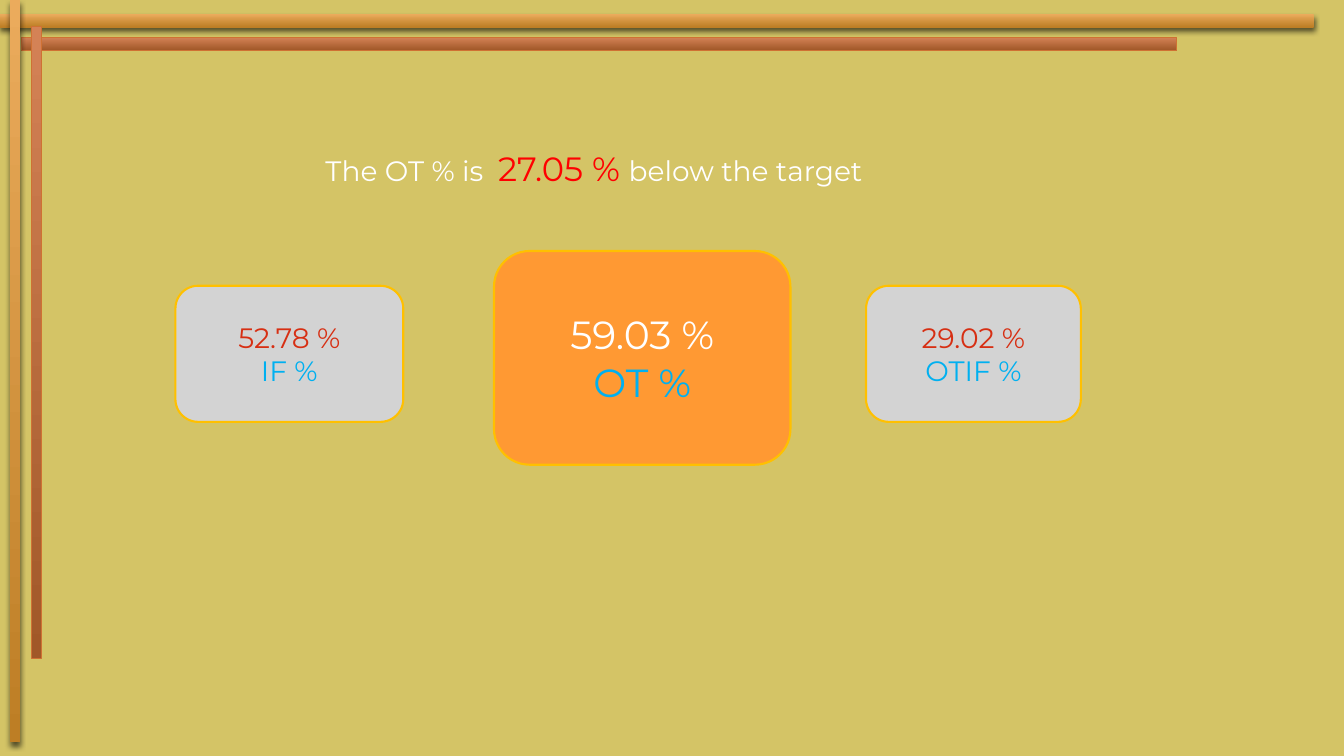
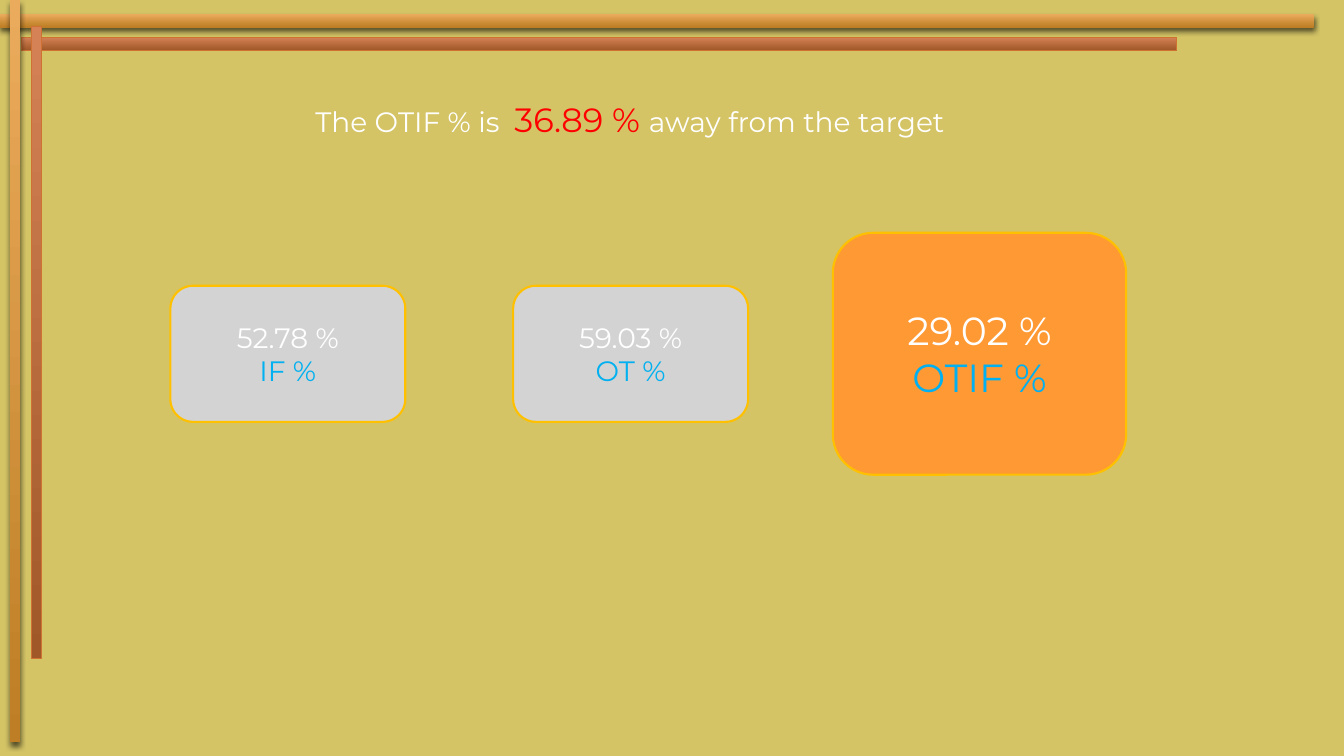
from lxml import etree
from pptx import Presentation
from pptx.dml.color import RGBColor
from pptx.enum.shapes import MSO_SHAPE
from pptx.enum.text import MSO_ANCHOR, MSO_AUTO_SIZE, PP_ALIGN
from pptx.oxml.ns import qn
from pptx.util import Inches, Pt

RECTANGLE = MSO_SHAPE.RECTANGLE
ROUNDED = MSO_SHAPE.ROUNDED_RECTANGLE
MIDDLE = MSO_ANCHOR.MIDDLE
CENTER = PP_ALIGN.CENTER
GROW = MSO_AUTO_SIZE.SHAPE_TO_FIT_TEXT

FONT = "Montserrat"
BACKGROUND = RGBColor(0xD4, 0xC4, 0x66)
GOLD = (RGBColor(0xEB, 0xAB, 0x5C), RGBColor(0xBD, 0x7E, 0x25))
COPPER = (RGBColor(0xD4, 0x82, 0x56), RGBColor(0xA1, 0x58, 0x28))
COPPER_EDGE = RGBColor(0xCF, 0x71, 0x33)
CARD_EDGE = RGBColor(0xFF, 0xC0, 0x00)
GREY = RGBColor(0xD3, 0xD3, 0xD3)
ORANGE = RGBColor(0xFF, 0x99, 0x33)
WHITE = RGBColor(0xFF, 0xFF, 0xFF)
BRICK = RGBColor(0xD7, 0x2F, 0x13)
RED = RGBColor(0xFF, 0x00, 0x00)
BLUE = RGBColor(0x00, 0xB0, 0xF0)

FRAME_BARS = [
    ((0, 0.14, 13.03, 0.13), GOLD, None),
    ((0.21, 0.37, 11.46, 0.13), COPPER, COPPER_EDGE),
    ((0.31, 0.26, 0.1, 6.27), COPPER, COPPER_EDGE),
    ((0.1, 0, 0.1, 7.36), GOLD, None),
]

CARD_MIDDLE = 3.51
CARD_HEIGHT = 1.35

SLIDES = [
    {
        "headline": ("The OT % is  ", "27.05 % ", "below the target"),
        "headline_box": (3.13, 1.42, 6.76, 0.5),
        "value_color": BRICK,
        "highlight": "OT %",
        "highlight_top": 2.49,
        "highlight_height": 2.12,
        "cards": [
            ("52.78 %", "IF %", 1.74, 2.26),
            ("59.03 %", "OT %", 4.9, 2.94),
            ("29.02 %", "OTIF %", 8.59, 2.13),
        ],
    },
    {
        "headline": ("The OTIF % is  ", "36.89 % ", "away from the target"),
        "headline_box": (3.03, 0.93, 7.74, 0.5),
        "value_color": WHITE,
        "highlight": "OTIF %",
        "highlight_top": 2.31,
        "highlight_height": 2.4,
        "cards": [
            ("52.78 %", "IF %", 1.69, 2.33),
            ("59.03 %", "OT %", 5.09, 2.33),
            ("29.02 %", "OTIF %", 8.26, 2.91),
        ],
    },
]


def style_run(run, size, color):
    run.font.name = FONT
    run.font.size = Pt(size)
    run.font.color.rgb = color


def set_edge(shape, color, width):
    if color is None:
        shape.line.fill.background()
    else:
        shape.line.color.rgb = color
        shape.line.width = Pt(width)


def add_shadow(shape):
    effects = shape._element.spPr.find(qn("a:effectLst"))
    shadow = etree.SubElement(
        effects, qn("a:outerShdw"), blurRad=str(Pt(4)), dist=str(Pt(3)),
        dir="5400000", rotWithShape="0")
    color = etree.SubElement(shadow, qn("a:srgbClr"), val="000000")
    etree.SubElement(color, qn("a:alpha"), val="60000")


def add_bar(slide, box, gradient, edge):
    bar = slide.shapes.add_shape(RECTANGLE, *map(Inches, box))
    bar.fill.gradient()
    bar.fill.gradient_angle = 270
    for stop, color, position in zip(bar.fill.gradient_stops, gradient, (0, 1)):
        stop.color.rgb = color
        stop.position = position
    set_edge(bar, edge, 0.75)
    bar.shadow.inherit = False
    if edge is None:
        add_shadow(bar)


def add_framed_slide(prs):
    slide = prs.slides.add_slide(prs.slide_layouts[6])
    slide.background.fill.solid()
    slide.background.fill.fore_color.rgb = BACKGROUND
    for box, gradient, edge in FRAME_BARS:
        add_bar(slide, box, gradient, edge)
    return slide


def add_card(slide, box, fill, lines, size):
    card = slide.shapes.add_shape(ROUNDED, *map(Inches, box))
    card.fill.solid()
    card.fill.fore_color.rgb = fill
    set_edge(card, CARD_EDGE, 1.5)
    card.shadow.inherit = False
    frame = card.text_frame
    frame.vertical_anchor = MIDDLE
    frame.text = "\n".join(text for text, _ in lines)
    for paragraph, (_, color) in zip(frame.paragraphs, lines):
        paragraph.alignment = CENTER
        style_run(paragraph.runs[0], size, color)


def add_headline(slide, box, parts):
    frame = slide.shapes.add_textbox(*map(Inches, box)).text_frame
    frame.word_wrap = True
    frame.auto_size = GROW
    styles = ((20, WHITE), (24, RED), (20, WHITE))
    for text, (size, color) in zip(parts, styles):
        run = frame.paragraphs[0].add_run()
        run.text = text
        style_run(run, size, color)


def add_metrics_slide(prs, content):
    slide = add_framed_slide(prs)
    for value, label, left, width in content["cards"]:
        if label == content["highlight"]:
            top, height = content["highlight_top"], content["highlight_height"]
            fill, value_color, size = ORANGE, WHITE, 28
        else:
            top, height = CARD_MIDDLE - CARD_HEIGHT / 2, CARD_HEIGHT
            fill, value_color, size = GREY, content["value_color"], 20
        lines = [(value, value_color), (label, BLUE)]
        add_card(slide, (left, top, width, height), fill, lines, size)
    add_headline(slide, content["headline_box"], content["headline"])


def main():
    prs = Presentation()
    prs.slide_width = Inches(13.33)
    prs.slide_height = Inches(7.5)
    for content in SLIDES:
        add_metrics_slide(prs, content)
    prs.save("out.pptx")


if __name__ == "__main__":
    main()
